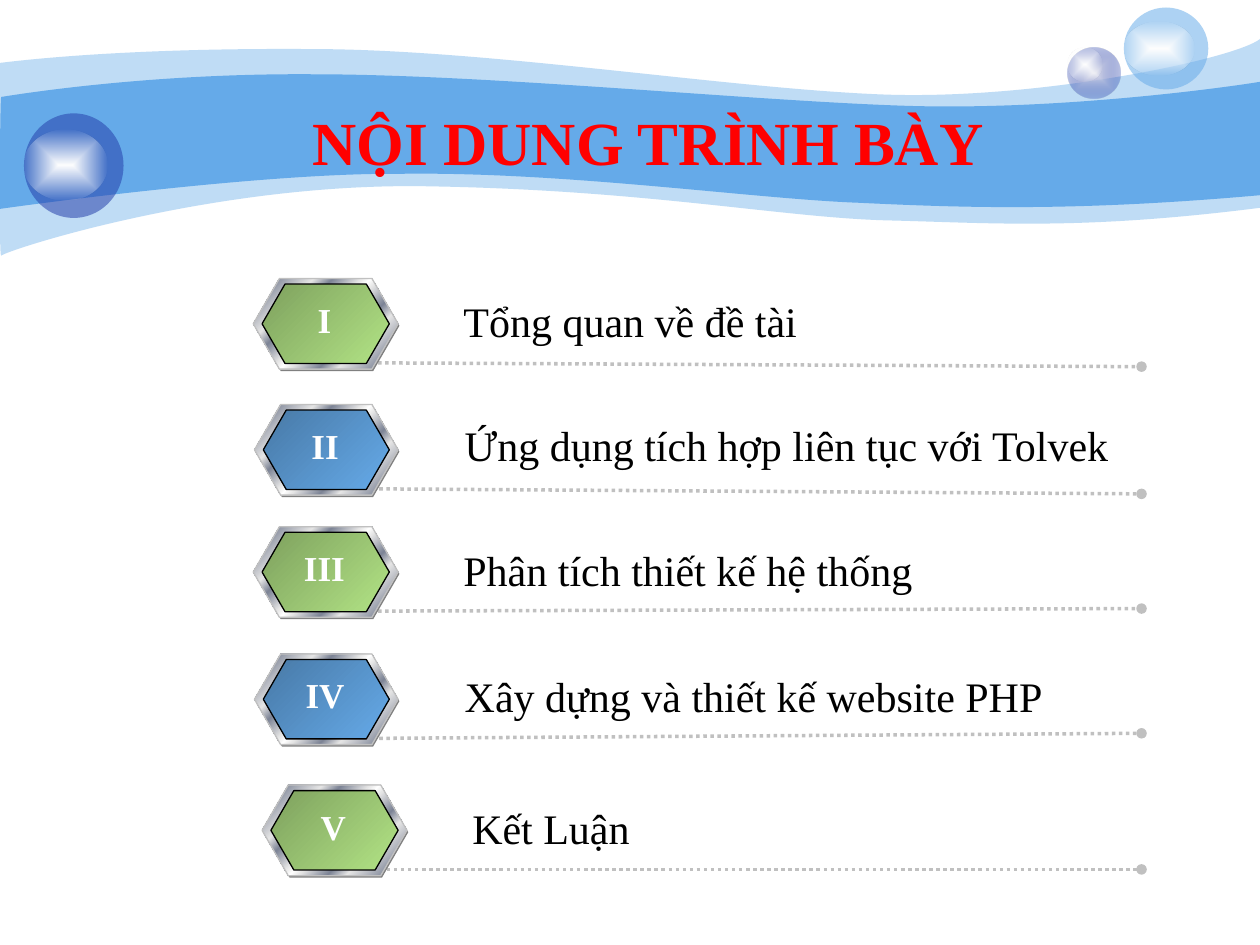
from lxml import etree
from pptx import Presentation, util as u
from pptx.dml.color import RGBColor
from pptx.enum import dml, shapes, text
from pptx.oxml.ns import qn, nsdecls

CELL = u.Inches(0.1)
FONT = "Times New Roman"
HUES = {
    "sky": "65AAE9", "navy": "233DA9", "pearl": "E1E2ED", "white": "FFFFFF",
    "red": "FF0000", "black": "000000", "gray": "808080", "silver": "C0C0C0",
    "light": "E6E6E6", "slate": "7D8496", "lime": "B2E385",
}
RIM = [(0, "light"), (8, "slate"), (26, "light"), (34, "slate"), (46, "light"), (50, "white"),
       (54, "light"), (66, "slate"), (74, "light"), (92, "slate"), (100, "light")]
FACES = [[(0, hue, 100, 46), (100, hue)] for hue in ("lime", "sky")]
SLANT = '<a:lin ang="2700000" scaled="1"/>'
GLOW = '<a:path path="shape"><a:fillToRect l="50000" t="50000" r="50000" b="50000"/></a:path>'
BACK = ((0, 5), [
    (2.4, 4.7, 10.7, 3.8, 24.7, 3.9), (38.6, 3.9, 57.5, 7, 69.9, 7.5),
    (82.2, 8, 98, 4.7, 100, 3.1), (100, 16.5),
    (85.8, 18.3, 78.7, 17.7, 70.5, 17.5), (62.2, 17.3, 51.5, 15.1, 34.3, 14.8),
    (17.2, 14.4, 0.4, 19.9, 0.1, 20.3), (-0.1, 20.8, 0, 7.5, 0, 5)])
FRONT = ((0.1, 7.7), [
    (0.2, 7.7, 11, 5.8, 24.8, 5.9), (38.6, 5.9, 59.5, 8, 71.8, 8.4),
    (84.1, 8.8, 97.6, 6.9, 100, 6.5), (100, 15.5),
    (85.3, 16.8, 76.5, 16.5, 68.2, 16.1), (59.9, 15.8, 44.7, 13.6, 31.7, 13.8),
    (20.3, 13.7, -0.2, 16.6, -0.1, 16.6), (0, 16.6, 0, 7.7, 0.1, 7.7)])
ROWS = [
    (20.1, 22.1, 11.5, 0.9, 0.3, "I", "Tổng quan về đề tài"),
    (20.2, 32.1, 11.4, 0.7, 0.4, "II", "Ứng dụng tích hợp liên tục với Tolvek"),
    (20.1, 41.8, 11.5, 0.9, -0.2, "III", "Phân tích thiết kế hệ thống"),
    (20.2, 51.9, 11.4, 0.8, -0.4, "IV", "Xây dựng và thiết kế website PHP"),
    (20.8, 62.3, 11.5, 0.9, 0, "V", "Kết Luận"),
]


def cells(*nums):
    """Turn grid cells into slide lengths."""
    return [round(n * CELL) for n in nums]


def rgb(hue):
    """Look up a colour."""
    return RGBColor.from_string(HUES[hue])


def ink(hue, alpha=100, shade=100):
    """Give the XML of a colour with percent alpha and shade."""
    mods = [f'<a:{tag} val="{part * 1000}"/>'
            for tag, part in (("shade", shade), ("alpha", alpha)) if part < 100]
    return f'<a:srgbClr val="{HUES[hue]}">{"".join(mods)}</a:srgbClr>'


def paint(shape, stops, mode=""):
    """Fill with the first (place, hue, alpha, shade) stop, or a gradient of all."""
    shape.shadow.inherit = False
    shape.fill.solid()
    tag, body = "solidFill", ink(*stops[0][1:])
    if mode:
        marks = "".join(f'<a:gs pos="{place * 1000}">{ink(*rest)}</a:gs>' for place, *rest in stops)
        tag, body = "gradFill", f"<a:gsLst>{marks}</a:gsLst>{mode}"
    props = shape._element.spPr
    new = etree.fromstring(f'<a:{tag} {nsdecls("a")}>{body}</a:{tag}>')
    props.replace(props.find(qn("a:solidFill")), new)


def edge(shape, hue=None):
    """Give a thin outline, or none."""
    if hue:
        shape.line.color.rgb = rgb(hue)
        shape.line.width = u.Pt(0.75)
    else:
        shape.line.fill.background()


def write(shape, words, size, hue, bold=False, align=text.PP_ALIGN.LEFT):
    """Set one styled paragraph."""
    frame = shape.text_frame
    frame.word_wrap = True
    frame.text = words
    para = frame.paragraphs[0]
    para.alignment = align
    font = para.font
    font.name, font.size, font.bold = FONT, u.Pt(size), bold
    font.color.rgb = rgb(hue)


def bend(shape, steps):
    """Join each three segments of a curved step into one cubic curve."""
    segs = iter(shape._element.findall(".//" + qn("a:lnTo")))
    for step in steps:
        first = next(segs)
        if len(step) == 2:
            continue
        first.tag = qn("a:cubicBezTo")
        for _ in range(2):
            seg = next(segs)
            first.append(seg[0])
            seg.getparent().remove(seg)


def wave(slide, box, form, alpha):
    """Draw a wave from the corner of the box."""
    start, steps = form
    left, top = box[:2]
    dots = [start] + [step[i:i + 2] for step in steps for i in range(0, len(step), 2)]
    dots = [cells(left + x, top + y) for x, y in dots]
    pen = slide.shapes.build_freeform(*dots[0])
    pen.add_line_segments(dots[1:], close=True)
    shape = pen.convert_to_shape()
    curve(shape, steps)
    paint(shape, [(0, "sky", alpha)])
    edge(shape)


def curve(shape, steps):
    """Rebuild the outline with cubic curves."""
    trail = shape._element.find(".//" + qn("a:path"))
    segs = iter(trail.findall(qn("a:lnTo")))
    for step in steps:
        first = next(segs)
        if len(step) == 2:
            continue
        arc = etree.Element(qn("a:cubicBezTo"))
        trail.replace(first, arc)
        arc.append(first[0])
        for _ in range(2):
            seg = next(segs)
            arc.append(seg[0])
            trail.remove(seg)


def ball(slide, box, stops, mode, shine):
    """Draw a ball in the box with a shine given as shares of it."""
    left, top, wide, high = box
    drop, across, down = shine
    glint = (left, top + drop * high, across * wide, down * high)
    fade = [(0, "white"), (100, "white", 0)]
    for area, inks, way in ((box, stops, mode), (glint, fade, GLOW)):
        shape = slide.shapes.add_shape(shapes.MSO_SHAPE.OVAL, *cells(*area))
        paint(shape, inks, way)
        edge(shape)


def badge(slide, box, mark, face):
    """Draw a rimmed hexagon with its numeral."""
    left, top, wide, high = box
    layers = [
        ((left + 0.1, top + 0.15, wide, high), [(0, "gray")], "", None),
        (box, RIM, SLANT, "silver"),
        ((left + 0.7, top + 0.45, wide - 1.4, high - 0.9), face, SLANT, "black"),
    ]
    for area, inks, mode, line in layers:
        shape = slide.shapes.add_shape(shapes.MSO_SHAPE.HEXAGON, *cells(*area))
        shape.adjustments[0] = 0.289
        paint(shape, inks, mode)
        edge(shape, line)
    label = slide.shapes.add_textbox(*cells(left - 0.1, top + 1.1, wide, 4.4))
    write(label, mark, 20, "white", True, text.PP_ALIGN.CENTER)


def row(slide, box, span, drop, tilt, mark, words, face):
    """Draw one entry: dotted rule, label and badge."""
    left, top, wide, high = box
    base = top + high - 0.5
    rule = slide.shapes.add_connector(
        shapes.MSO_CONNECTOR.STRAIGHT, *cells(left + 9.9, base, left + wide, base + tilt))
    rule.line.color.rgb = rgb("silver")
    rule.line.width = u.Pt(2)
    rule.line.dash_style = dml.MSO_LINE.ROUND_DOT
    etree.SubElement(rule.line._ln, qn("a:tailEnd"), type="oval")
    etree.SubElement(rule._element.spPr, qn("a:effectLst"))
    label = slide.shapes.add_textbox(*cells(left + 15.7, top + drop, 55, 5))
    write(label, words, 24, "black")
    badge(slide, (left, top, span, high), mark, face)


def head(slide, box):
    """Draw the waves and balls under the title."""
    wave(slide, box, BACK, 41)
    wave(slide, box, FRONT, 100)
    ball(slide, (84.7, 3.8, 4.2, 4), [(0, "pearl"), (100, "navy", 31)], GLOW, (0, 0.67, 0.67))
    ball(slide, (89.2, 0.6, 6.7, 6.5), [(0, "sky", 53)], "", (0.17, 0.84, 0.66))
    ball(slide, (1.9, 9, 7.9, 8.3), [(0, "navy", 53)], "", (0.16, 0.84, 0.67))
    title = slide.shapes.title
    slide.shapes._spTree.append(title._element)
    title.left, title.top, title.width, title.height = cells(
        box[0] + 14.8, box[1] + 7.8, 73.3, 6.9)
    write(title, "NỘI DUNG TRÌNH BÀY", 35, "red", True, text.PP_ALIGN.CENTER)
    title.text_frame.auto_size = text.MSO_AUTO_SIZE.NONE
    title.text_frame.vertical_anchor = text.MSO_ANCHOR.TOP


def main():
    """Build and save the slide."""
    deck = Presentation()
    deck.slide_width, deck.slide_height = cells(100, 75)
    slide = deck.slides.add_slide(deck.slide_layouts[5])
    head(slide, (0, 0, 100, 20))
    for i, (left, top, *rest) in enumerate(ROWS):
        row(slide, (left, top, 90.6 - left, 7.2), *rest, FACES[i % 2])
    deck.save("out.pptx")


if __name__ == "__main__":
    main()
